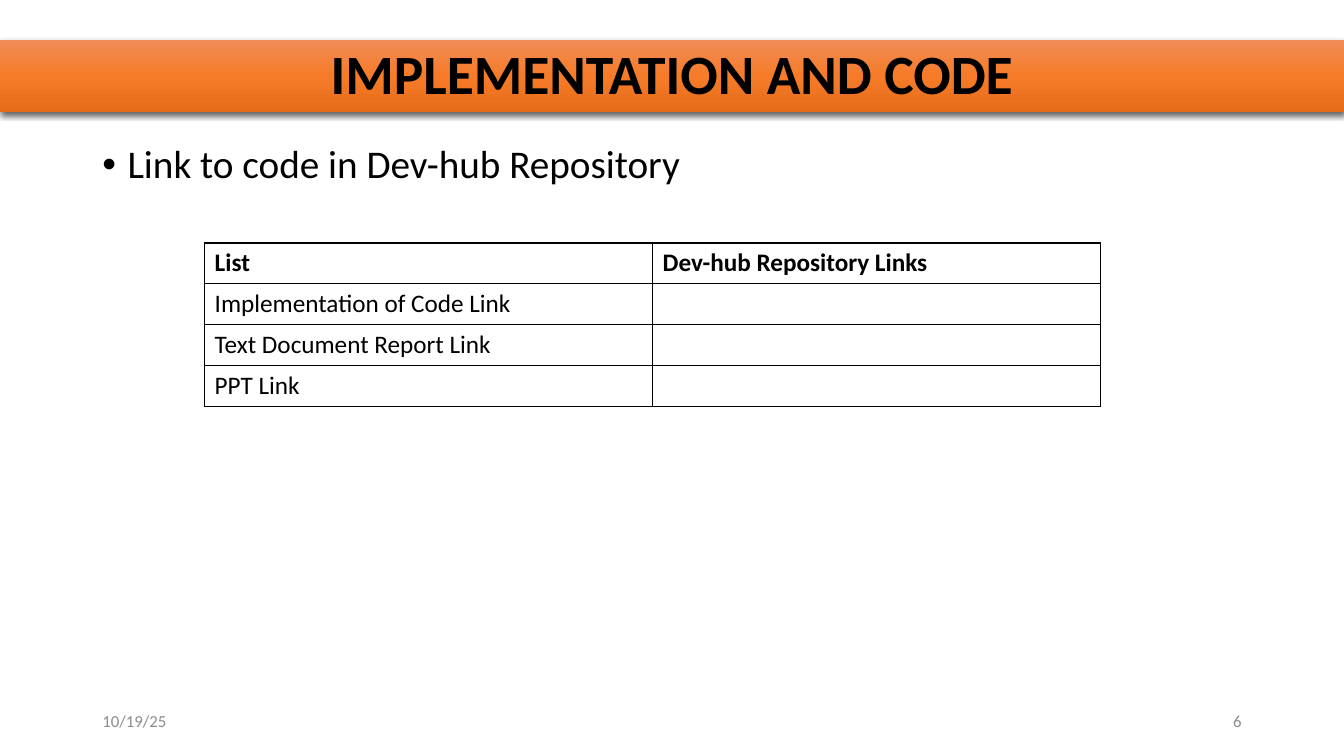
from lxml.etree import SubElement
from pptx import Presentation
from pptx.dml.color import RGBColor
from pptx.enum.text import MSO_ANCHOR as Anchor, MSO_AUTO_SIZE as AutoSize, PP_ALIGN as Align
from pptx.oxml.ns import qn
from pptx.util import Inches, Pt

BLACK = RGBColor(0x00, 0x00, 0x00)
GRAY = RGBColor(0x8C, 0x8C, 0x8C)
BANNER_STOPS = {
    0: RGBColor(0xF1, 0x8C, 0x57),
    50: RGBColor(0xF6, 0x7B, 0x28),
    100: RGBColor(0xE5, 0x6C, 0x19),
}

COLUMNS, ROWS = 120, 75
MARGIN = 8.25
FOOTER_TOP, FOOTER_WIDTH, FOOTER_HEIGHT = 69.5, 27, 4

LINKS = [
    ("List", "Dev-hub Repository Links"),
    ("Implementation of Code Link", ""),
    ("Text Document Report Link", ""),
    ("PPT Link", ""),
]


def assign(target, values):
    for name, value in values.items():
        setattr(target, name, value)


def add_node(parent, tag, **attributes):
    return SubElement(parent, qn(tag), {name: str(value) for name, value in attributes.items()})


def add_color(parent, color):
    return add_node(parent, "a:srgbClr", val=color)


class SlideBuilder:
    font_name = "Calibri"

    def __init__(self):
        self.deck = Presentation()
        assign(self.deck, {"slide_width": Inches(13.33), "slide_height": Inches(7.5)})
        self.page = self.deck.slides.add_slide(self.deck.slide_layouts[5])

    def area(self, column, row, columns, rows):
        across = self.deck.slide_width / COLUMNS
        down = self.deck.slide_height / ROWS
        return [round(size) for size in (column * across, row * down, columns * across, rows * down)]

    def put_text(self, frame, text, size, color=BLACK, bold=False, **paragraph_format):
        para = frame.paragraphs[0]
        assign(para, paragraph_format)
        span = para.add_run()
        span.text = text
        assign(span.font, {"name": self.font_name, "size": Pt(size), "bold": bold})
        span.font.color.rgb = color
        return para

    def title(self, text, *place):
        banner = self.page.shapes.title
        assign(banner, dict(zip(("left", "top", "width", "height"), self.area(*place))))
        properties = banner.element.spPr
        gradient = add_node(properties, "a:gradFill", rotWithShape=1)
        stops = add_node(gradient, "a:gsLst")
        for share, color in BANNER_STOPS.items():
            add_color(add_node(stops, "a:gs", pos=share * 1000), color)
        add_node(gradient, "a:lin", ang=5400000, scaled=0)
        effects = add_node(properties, "a:effectLst")
        shadow = add_node(effects, "a:outerShdw", blurRad=Pt(4.5), dist=Pt(1.5),
                          dir=5400000, algn="ctr", rotWithShape=0)
        add_node(add_color(shadow, BLACK), "a:alpha", val=63000)
        frame = banner.text_frame
        assign(frame, {"auto_size": AutoSize.NONE, "word_wrap": True,
                       "vertical_anchor": Anchor.MIDDLE})
        self.put_text(frame, text, 39.6, bold=True, alignment=Align.CENTER, line_spacing=0.9)

    def text(self, text, place, size, color=BLACK, anchor=Anchor.TOP, **paragraph_format):
        box = self.page.shapes.add_textbox(*self.area(*place))
        assign(box.text_frame, {"word_wrap": True, "vertical_anchor": anchor})
        return self.put_text(box.text_frame, text, size, color, **paragraph_format)

    def bullet(self, text, *place):
        para = self.text(text, place, 28, line_spacing=0.9, space_before=Pt(10))
        properties = para._p.get_or_add_pPr()
        properties.set("marL", str(Inches(0.25)))
        properties.set("indent", str(Inches(-0.25)))
        add_node(properties, "a:buFont", typeface="Arial")
        add_node(properties, "a:buChar", char="•")

    def footer(self, text, column, alignment):
        place = (column, FOOTER_TOP, FOOTER_WIDTH, FOOTER_HEIGHT)
        self.text(text, place, 12, GRAY, Anchor.MIDDLE, alignment=alignment)

    def border(self, cell):
        properties = cell._tc.get_or_add_tcPr()
        for side in ("L", "R", "T", "B"):
            line = add_node(properties, "a:ln" + side, w=Pt(1))
            add_color(add_node(line, "a:solidFill"), BLACK)

    def table(self, records, *place):
        frame = self.page.shapes.add_table(len(records), len(records[0]), *self.area(*place))
        grid = frame.table
        assign(grid, {"first_row": False, "horz_banding": False})
        for row, record in enumerate(records):
            for column, text in enumerate(record):
                cell = grid.cell(row, column)
                self.border(cell)
                cell.fill.background()
                if text:
                    self.put_text(cell.text_frame, text, 18, bold=row == 0)


def main():
    builder = SlideBuilder()
    builder.title("IMPLEMENTATION AND CODE", 0, 4, COLUMNS, 7.1)
    builder.bullet("Link to code in Dev-hub Repository", MARGIN, 13.9, COLUMNS - 2 * MARGIN, 53.7)
    builder.footer("10/19/25", MARGIN, Align.LEFT)
    builder.footer("6", COLUMNS - MARGIN - FOOTER_WIDTH, Align.RIGHT)
    builder.table(LINKS, 18.27, 24.1, 80, 16.2)
    builder.deck.save("out.pptx")


if __name__ == "__main__":
    main()
